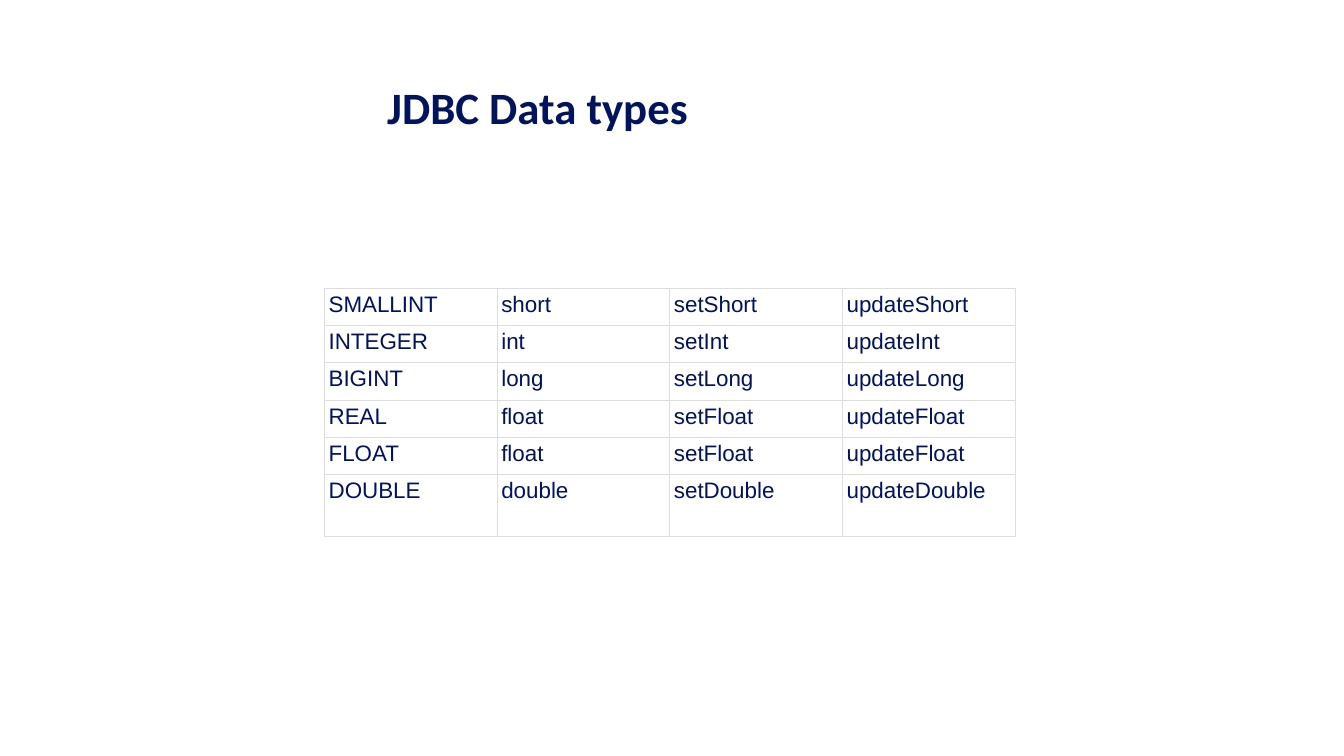
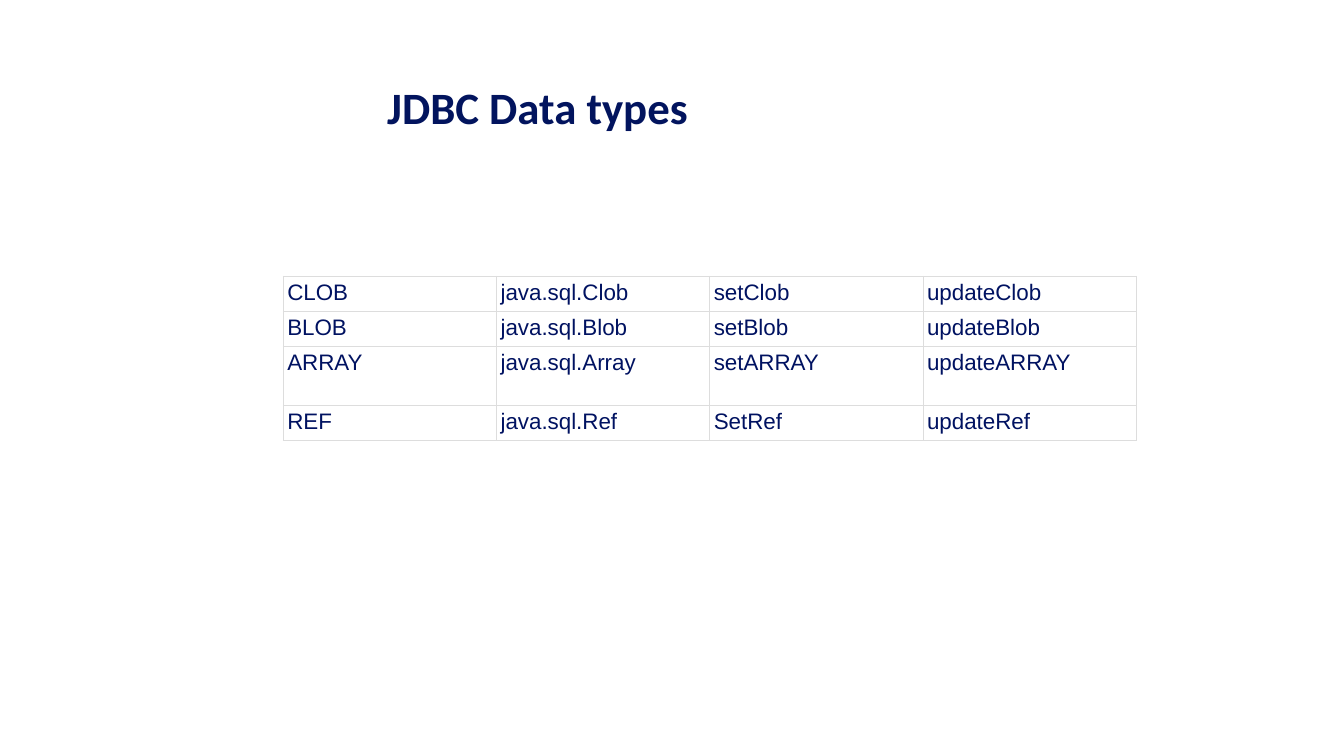
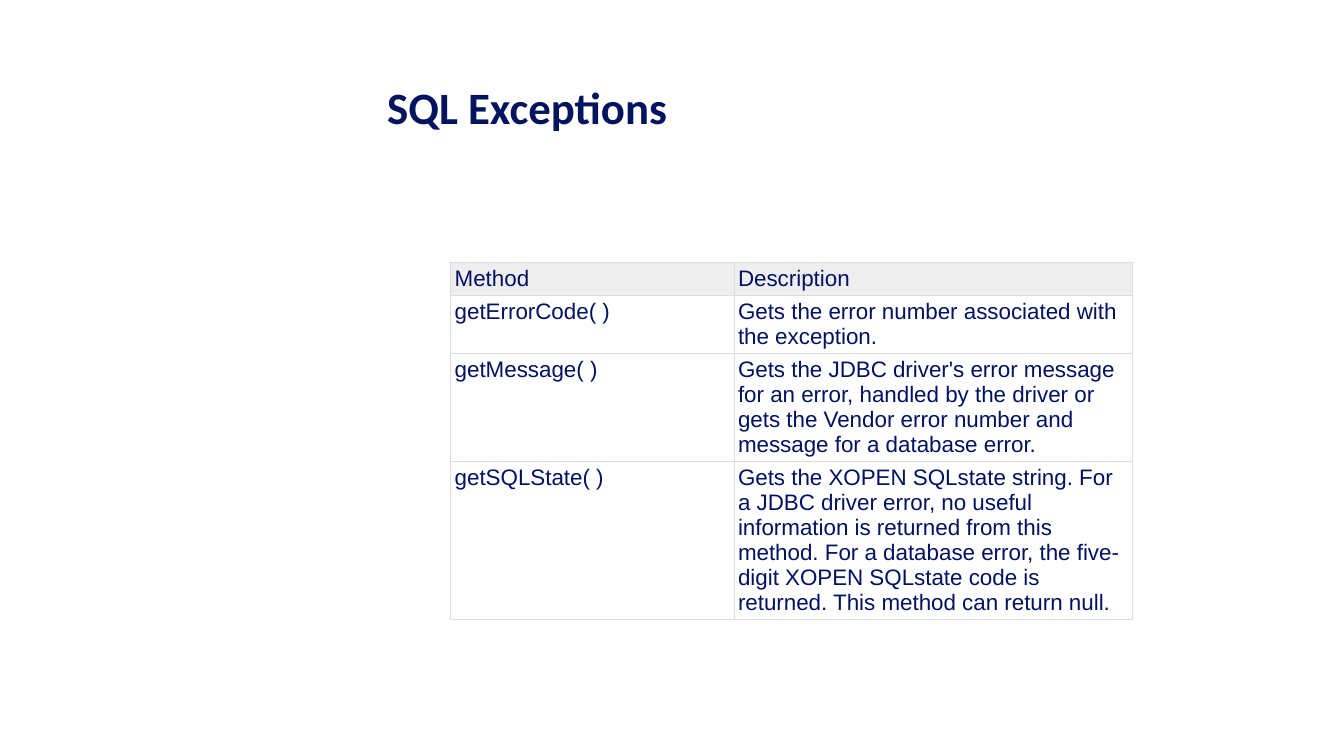
from lxml.etree import SubElement
from pptx import Presentation
from pptx.dml.color import RGBColor
from pptx.enum.text import MSO_ANCHOR, MSO_AUTO_SIZE, PP_ALIGN
from pptx.oxml.ns import qn
from pptx.util import Pt

EMU_PER_PX = 9144
COLORS = {"title": "02145E", "text": "001261", "border": "DDDDDD", "header": "EEEEEE"}
CELL_MARGIN = 4
TITLE_ONLY_LAYOUT = 5

NUMERIC_TYPES = [
    ["SMALLINT", "short", "setShort", "updateShort"],
    ["INTEGER", "int", "setInt", "updateInt"],
    ["BIGINT", "long", "setLong", "updateLong"],
    ["REAL", "float", "setFloat", "updateFloat"],
    ["FLOAT", "float", "setFloat", "updateFloat"],
    ["DOUBLE", "double", "setDouble", "updateDouble"],
]
OBJECT_TYPES = [
    ["CLOB", "java.sql.Clob", "setClob", "updateClob"],
    ["BLOB", "java.sql.Blob", "setBlob", "updateBlob"],
    ["ARRAY", "java.sql.Array", "setARRAY", "updateARRAY"],
    ["REF", "java.sql.Ref", "SetRef", "updateRef"],
]
EXCEPTION_METHODS = [
    ["Method", "Description"],
    ["getErrorCode( )", "Gets the error number associated with the exception."],
    ["getMessage( )", "Gets the JDBC driver's error message for an error, handled by the "
     "driver or gets the Vendor error number and message for a database error."],
    ["getSQLState( )", "Gets the XOPEN SQLstate string. For a JDBC driver error, no useful "
     "information is returned from this method. For a database error, the five-digit XOPEN "
     "SQLstate code is returned. This method can return null."],
]


def px(length):
    """Turn pixels into EMU."""
    return length * EMU_PER_PX


def place(shape, left, top, width, height):
    """Move and size a shape, in pixels."""
    shape.left, shape.top = px(left), px(top)
    shape.width, shape.height = px(width), px(height)


def set_margins(box, margin):
    """Give a cell or text frame the same margin on all sides."""
    box.margin_left = box.margin_right = box.margin_top = box.margin_bottom = px(margin)


def set_font(paragraph, name, size, color, bold=False):
    """Format the font of a whole paragraph."""
    font = paragraph.font
    font.name, font.size, font.bold = name, Pt(size), bold
    font.color.rgb = RGBColor.from_string(COLORS[color])


def add_titled_slide(presentation, title):
    """Add a title-only slide with the shared title style."""
    slide = presentation.slides.add_slide(presentation.slide_layouts[TITLE_ONLY_LAYOUT])
    place(slide.shapes.title, 384, 79, 567, 99)
    frame = slide.shapes.title.text_frame
    frame.text = title
    frame.auto_size = MSO_AUTO_SIZE.NONE
    frame.vertical_anchor = MSO_ANCHOR.TOP
    set_margins(frame, 0)
    paragraph = frame.paragraphs[0]
    paragraph.alignment = PP_ALIGN.LEFT
    paragraph.space_after = Pt(16.3)
    set_font(paragraph, "Calibri", 32, "title", bold=True)
    return slide


def add_borders(cell):
    """Draw a thin line on each side of a cell."""
    properties = cell._tc.get_or_add_tcPr()
    for side in ("a:lnL", "a:lnR", "a:lnT", "a:lnB"):
        line = SubElement(properties, qn(side), w=str(Pt(0.75)))
        fill = SubElement(line, qn("a:solidFill"))
        SubElement(fill, qn("a:srgbClr"), val=COLORS["border"])


def format_cell(cell, text, is_header):
    """Fill one table cell with text and apply the table style."""
    cell.text = text
    cell.vertical_anchor = MSO_ANCHOR.TOP
    set_margins(cell, CELL_MARGIN)
    add_borders(cell)
    if is_header:
        cell.fill.solid()
        cell.fill.fore_color.rgb = RGBColor.from_string(COLORS["header"])
    else:
        cell.fill.background()
    set_font(cell.text_frame.paragraphs[0], "Arial", 16, "text")


def add_grid(slide, left, top, width, shares, heights, rows, has_header=False):
    """Add a table whose columns divide its width by the given shares."""
    frame = slide.shapes.add_table(
        len(rows), len(shares), px(left), px(top), px(width), px(sum(heights)))
    table = frame.table
    table.first_row = has_header
    table.horz_banding = False
    for column, share in zip(table.columns, shares):
        column.width = px(width) * share // sum(shares)
    for row_index, (row, height, texts) in enumerate(zip(table.rows, heights, rows)):
        row.height = px(height)
        for cell, text in zip(row.cells, texts):
            format_cell(cell, text, has_header and row_index == 0)


def main():
    """Build the three slides and save them."""
    presentation = Presentation()
    presentation.slide_width, presentation.slide_height = px(1333), px(750)

    slide = add_titled_slide(presentation, "JDBC Data types")
    add_grid(slide, 322, 286, 685, [1] * 4, [37] * 5 + [61], NUMERIC_TYPES)

    slide = add_titled_slide(presentation, "JDBC Data types")
    add_grid(slide, 281, 274, 846, [1] * 4, [35, 35, 58, 35], OBJECT_TYPES)

    slide = add_titled_slide(presentation, "SQL Exceptions")
    add_grid(slide, 447, 260, 676, [281, 395], [33, 58, 107, 157], EXCEPTION_METHODS,
             has_header=True)

    presentation.save("out.pptx")


if __name__ == "__main__":
    main()
